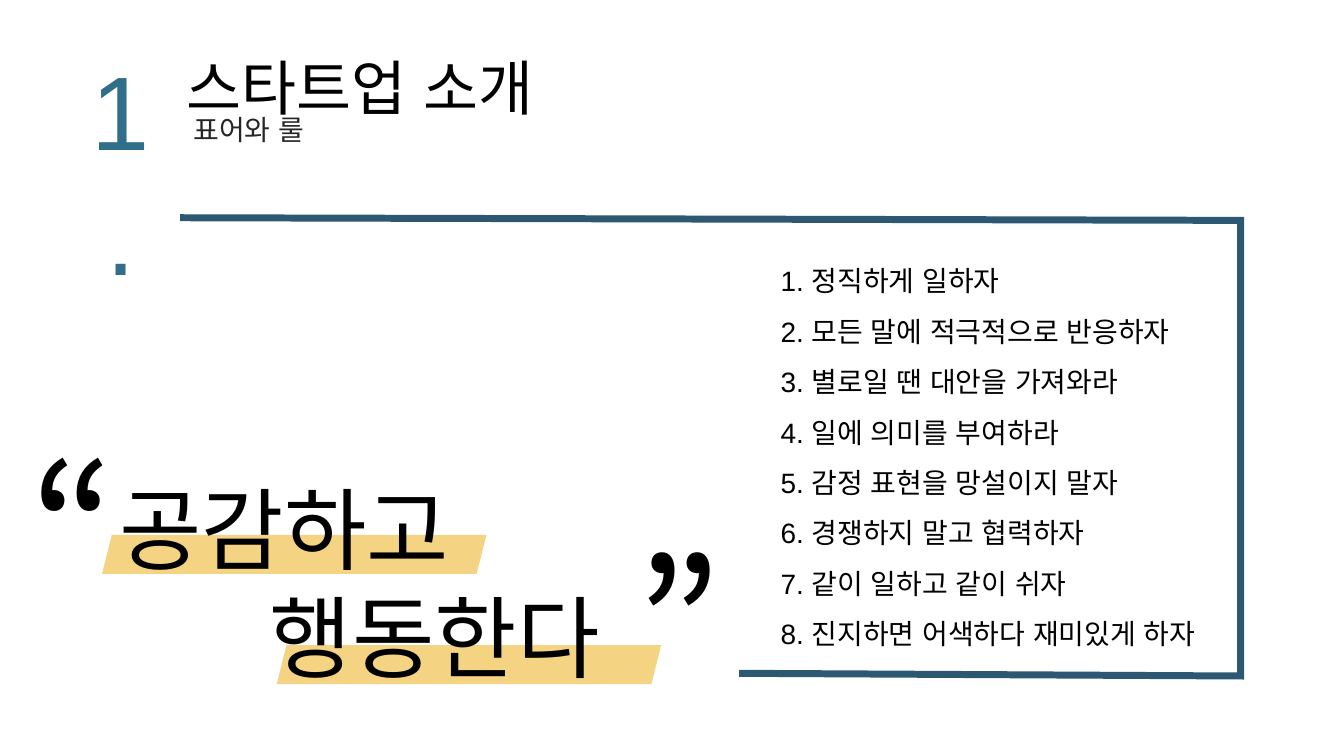
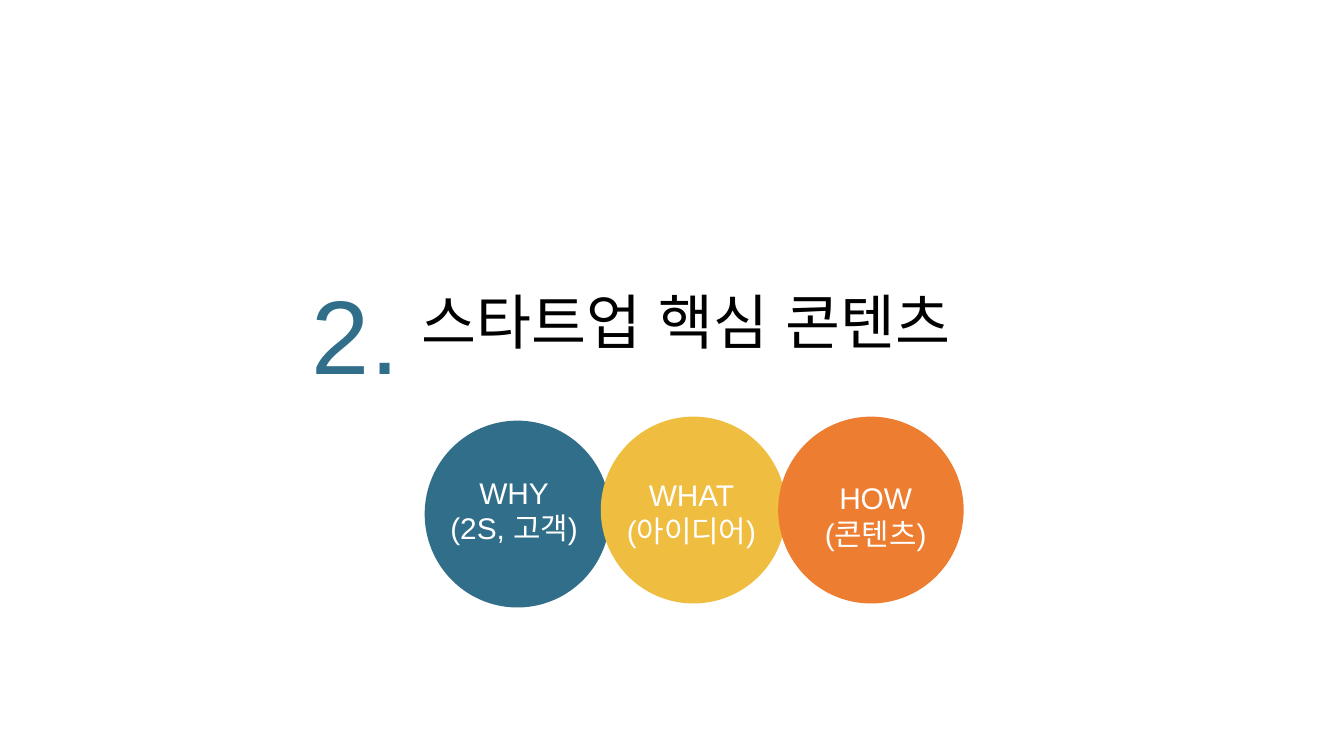
from dataclasses import dataclass

from lxml import etree
from pptx import Presentation
from pptx.dml.color import RGBColor
from pptx.enum.shapes import MSO_SHAPE
from pptx.enum.text import MSO_AUTO_SIZE, PP_ALIGN
from pptx.oxml.ns import qn
from pptx.util import Pt

PX = 9144  # one px is a hundredth of an inch
CENTER = PP_ALIGN.CENTER
LEFT = PP_ALIGN.LEFT
GROW = MSO_AUTO_SIZE.SHAPE_TO_FIT_TEXT
OVAL = MSO_SHAPE.OVAL
PARALLELOGRAM = MSO_SHAPE.PARALLELOGRAM


@dataclass(frozen=True)
class Theme:
    font: str = "Arial"
    quote_font: str = "Noto Sans CJK KR"
    black: str = "000000"
    gray: str = "262626"
    white: str = "FFFFFF"
    teal: str = "306E89"
    navy: str = "2D5871"
    yellow: str = "EFBD3F"
    orange: str = "ED7D31"
    number: int = 56
    title: int = 32
    small: int = 15
    label: int = 16
    slogan: int = 48
    quote: int = 96


T = Theme()

RULES = [
    "정직하게 일하자",
    "모든 말에 적극적으로 반응하자",
    "별로일 땐 대안을 가져와라",
    "일에 의미를 부여하라",
    "감정 표현을 망설이지 말자",
    "경쟁하지 말고 협력하자",
    "같이 일하고 같이 쉬자",
    "진지하면 어색하다 재미있게 하자",
]

# fill, circle top, label left and top, label lines
CIRCLES = [
    (T.teal, 3, 2, 38, ["WHY", "(2S, 고객)"]),
    (T.yellow, 0, 134, 40, ["WHAT", "(아이디어)"]),
    (T.orange, 0, 271, 42, ["HOW", "(콘텐츠)"]),
]


def emu(*lengths):
    return [n * PX for n in lengths]


def set_font(font, name, size, color):
    """Set the same face for Latin and Korean text, with size and colour."""
    font.name = name
    font.size = Pt(size)
    font.color.rgb = RGBColor.from_string(color)
    etree.SubElement(font._rPr, qn("a:ea"), typeface=name)


def add_text(slide, box, lines, size, color=T.black, align=LEFT,
             font=T.font, inset=(10, 5)):
    tf = slide.shapes.add_textbox(*emu(*box)).text_frame
    tf.word_wrap = True
    tf.auto_size = GROW
    tf.margin_left = tf.margin_right = inset[0] * PX
    tf.margin_top = tf.margin_bottom = inset[1] * PX
    for i, line in enumerate(lines):
        p = tf.add_paragraph() if i else tf.paragraphs[0]
        p.text = line
        p.alignment = align
        set_font(p.font, font, size, color)
    return tf


def set_indent(p, left, first=0):
    pPr = p._p.get_or_add_pPr()
    pPr.set("marL", str(left * PX))
    pPr.set("indent", str(first * PX))


def add_filled(slide, kind, box, color, opacity=100):
    sp = slide.shapes.add_shape(kind, *emu(*box))
    sp.shadow.inherit = False
    sp.fill.solid()
    sp.fill.fore_color.rgb = RGBColor.from_string(color)
    sp.line.fill.background()
    if opacity < 100:
        clr = sp.fill._xPr.find(f".//{qn('a:srgbClr')}")
        etree.SubElement(clr, qn("a:alpha"), val=str(opacity * 1000))


def add_heading(slide, number, number_box, title, title_box):
    add_text(slide, number_box, [number], T.number, T.teal, CENTER,
             inset=(9, 4))
    add_text(slide, title_box, [title], T.title)


def add_frame(slide, x, y):
    """Draw the open frame: bottom, right and top edges."""
    fb = slide.shapes.build_freeform(x + 416, y + 339, PX)
    fb.add_line_segments([(x + 789, y + 341), (x + 789, y + 2), (x, y)],
                         close=False)
    sp = fb.convert_to_shape()
    sp.shadow.inherit = False
    sp.fill.background()
    sp.line.color.rgb = RGBColor.from_string(T.navy)
    sp.line.width = Pt(3.75)
    etree.SubElement(sp.line._ln, qn("a:miter"), lim="800000")


def add_slogan(slide, x, y):
    for dx, dy in ((193, 174), (63, 92)):
        add_filled(slide, PARALLELOGRAM, (x + dx, y + dy, 286, 29),
                   T.yellow, 65)
    tf = add_text(slide, (x + 66, y + 42, 421, 172),
                  ["공감하고", "행동한다"], T.slogan)
    set_indent(tf.paragraphs[1], 112)
    for mark, dx, dy in (("“", 0, 0), ("”", 451, 71)):
        add_text(slide, (x + dx, y + dy, 60, 172), [mark], T.quote,
                 font=T.quote_font)


def add_rules(slide, box):
    lines = [f"{i}. {rule}" for i, rule in enumerate(RULES, 1)]
    tf = add_text(slide, box, lines, T.small)
    for p in tf.paragraphs:
        set_indent(p, 38, -38)
        p.line_spacing = 1.5


def add_circles(slide, x, y):
    for i, (color, top, *_) in enumerate(CIRCLES):
        add_filled(slide, OVAL, (x + i * 263 // 2, y + top, 138, 139), color)
    for _, _, left, top, lines in CIRCLES:
        add_text(slide, (x + left, y + top, 129, 64), lines, T.label,
                 T.white, CENTER)


def build_intro(slide):
    add_heading(slide, "1.", (55, 30, 70, 103),
                "스타트업 소개", (129, 33, 427, 64))
    add_text(slide, (135, 80, 233, 34), ["표어와 룰"], T.small, T.gray,
             inset=(9, 4))
    add_frame(slide, 134, 162)
    add_slogan(slide, 13, 306)
    add_rules(slide, (571, 179, 544, 313))


def build_core_content(slide):
    add_heading(slide, "2.", (222, 197, 85, 103),
                "스타트업 핵심 콘텐츠", (304, 207, 594, 64))
    add_circles(slide, 316, 310)


def main():
    prs = Presentation()
    prs.slide_width = 1000 * PX
    prs.slide_height = prs.slide_width * 9 // 16
    for build in (build_intro, build_core_content):
        build(prs.slides.add_slide(prs.slide_layouts[6]))
    prs.save("out.pptx")


if __name__ == "__main__":
    main()
